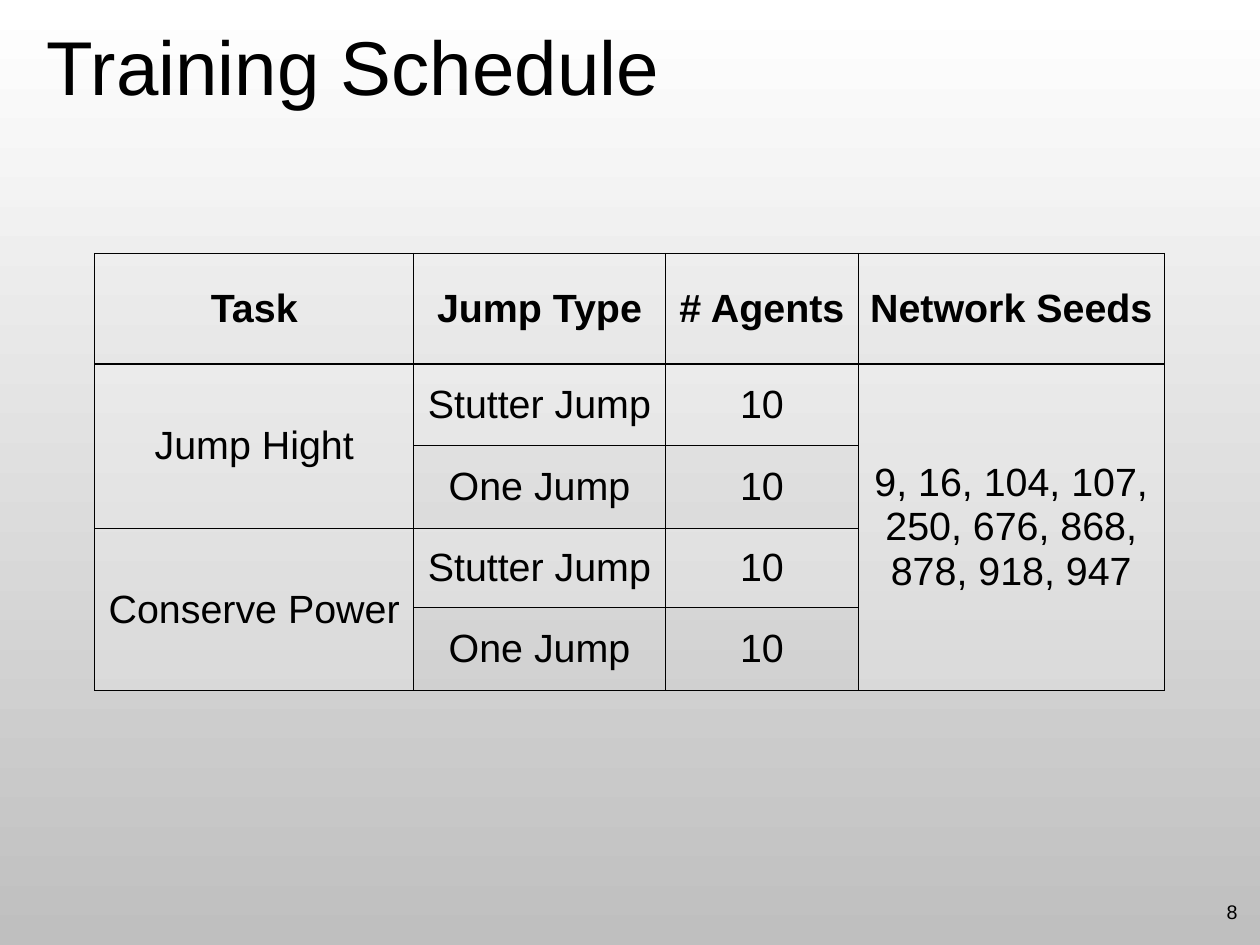
from dataclasses import dataclass

from lxml import etree
from pptx import Presentation
from pptx.dml.color import RGBColor
from pptx.enum import text
from pptx.oxml import ns
from pptx.util import Inches, Pt

COLORS = {"ink": "000000", "top": "FFFFFF", "bottom": "BFBFBF", "veil": "FFFFFF"}
FONT = "Arial"
COLUMN_WIDTHS = [3.6, 2.84, 2.18, 3.45]
ROW_HEIGHTS = [1.25, 0.92, 0.94, 0.89, 0.94]
HEADERS = ["Task", "Jump Type", "# Agents", "Network Seeds"]
TASKS = ["Jump Hight", "Conserve Power"]
JUMP_TYPES = ["Stutter Jump", "One Jump"]
AGENTS = "10"
SEEDS = "9, 16, 104, 107, 250, 676, 868, 878, 918, 947"


@dataclass
class Entry:
    row: int
    column: int
    words: str
    bold: bool = False
    veiled: bool = False
    row_span: int = 1


def color(name: str) -> RGBColor:
    return RGBColor.from_string(COLORS[name])


def style_paragraph(para, size: int, align, bold: bool = False) -> None:
    para.alignment = align
    para.font.name = FONT
    para.font.size = Pt(size)
    para.font.bold = bold
    para.font.color.rgb = color("ink")


def add_borders(cell) -> None:
    properties = cell._tc.get_or_add_tcPr()
    for side in ("lnL", "lnR", "lnT", "lnB"):
        line = etree.SubElement(properties, ns.qn(f"a:{side}"), w=str(Pt(1)))
        solid = etree.SubElement(line, ns.qn("a:solidFill"))
        etree.SubElement(solid, ns.qn("a:srgbClr"), val=COLORS["ink"])


def add_veil(cell) -> None:
    cell.fill.solid()
    cell.fill.fore_color.rgb = color("veil")
    tint = cell._tc.tcPr.find(ns.qn("a:solidFill")).find(ns.qn("a:srgbClr"))
    etree.SubElement(tint, ns.qn("a:alpha"), val="20000")


def schedule_entries() -> list[Entry]:
    entries = [Entry(0, column, words, bold=True) for column, words in enumerate(HEADERS)]
    for index, task in enumerate(TASKS):
        first = 1 + index * len(JUMP_TYPES)
        entries.append(Entry(first, 0, task, veiled=True, row_span=len(JUMP_TYPES)))
        for offset, jump in enumerate(JUMP_TYPES):
            for column, words in enumerate([jump, AGENTS], start=1):
                entries.append(Entry(first + offset, column, words, veiled=offset == 0))
    entries.append(Entry(1, 3, SEEDS, veiled=True, row_span=len(ROW_HEIGHTS) - 1))
    return entries


def fill_entry(table, entry: Entry) -> None:
    cell = table.cell(entry.row, entry.column)
    if entry.row_span > 1:
        cell.merge(table.cell(entry.row + entry.row_span - 1, entry.column))
    if entry.veiled:
        add_veil(cell)
    cell.text = entry.words
    cell.vertical_anchor = text.MSO_ANCHOR.MIDDLE
    style_paragraph(cell.text_frame.paragraphs[0], 32, text.PP_ALIGN.CENTER, entry.bold)


def add_schedule(page) -> None:
    frame = page.shapes.add_table(
        len(ROW_HEIGHTS), len(COLUMN_WIDTHS),
        Inches(1.07), Inches(2.86), Inches(sum(COLUMN_WIDTHS)), Inches(sum(ROW_HEIGHTS)),
    )
    table = frame.table
    table.first_row = False
    table.horz_banding = False
    for column, width in zip(table.columns, COLUMN_WIDTHS):
        column.width = Inches(width)
    for row, height in zip(table.rows, ROW_HEIGHTS):
        row.height = Inches(height)
    for cell in table.iter_cells():
        add_borders(cell)
        cell.fill.background()
    for entry in schedule_entries():
        fill_entry(table, entry)


def paint_background(page) -> None:
    fill = page.background.fill
    fill.gradient()
    fill.gradient_angle = 270
    for stop, position, name in zip(fill.gradient_stops, (0, 1), ("top", "bottom")):
        stop.position = position
        stop.color.rgb = color(name)


def write_title(page) -> None:
    title = page.shapes.title
    title.left, title.top = Inches(0.47), Inches(0.06)
    title.width, title.height = Inches(12.08), Inches(1.35)
    frame = title.text_frame
    frame.text = "Training Schedule"
    frame.auto_size = text.MSO_AUTO_SIZE.NONE
    frame.vertical_anchor = text.MSO_ANCHOR.MIDDLE
    frame.margin_left = frame.margin_top = frame.margin_bottom = Inches(0.06)
    frame.margin_right = Inches(0.12)
    style_paragraph(frame.paragraphs[0], 62, text.PP_ALIGN.LEFT)


def write_page_number(page) -> None:
    box = page.shapes.add_textbox(Inches(13.72), Inches(10.11), Inches(0.37), Inches(0.35))
    box.text_frame.word_wrap = False
    box.text_frame.text = "8"
    style_paragraph(box.text_frame.paragraphs[0], 16, text.PP_ALIGN.CENTER)


def main() -> None:
    deck = Presentation()
    deck.slide_width, deck.slide_height = Inches(14.22), Inches(10.67)
    page = deck.slides.add_slide(deck.slide_layouts[5])
    paint_background(page)
    write_title(page)
    write_page_number(page)
    add_schedule(page)
    deck.save("out.pptx")


if __name__ == "__main__":
    main()
